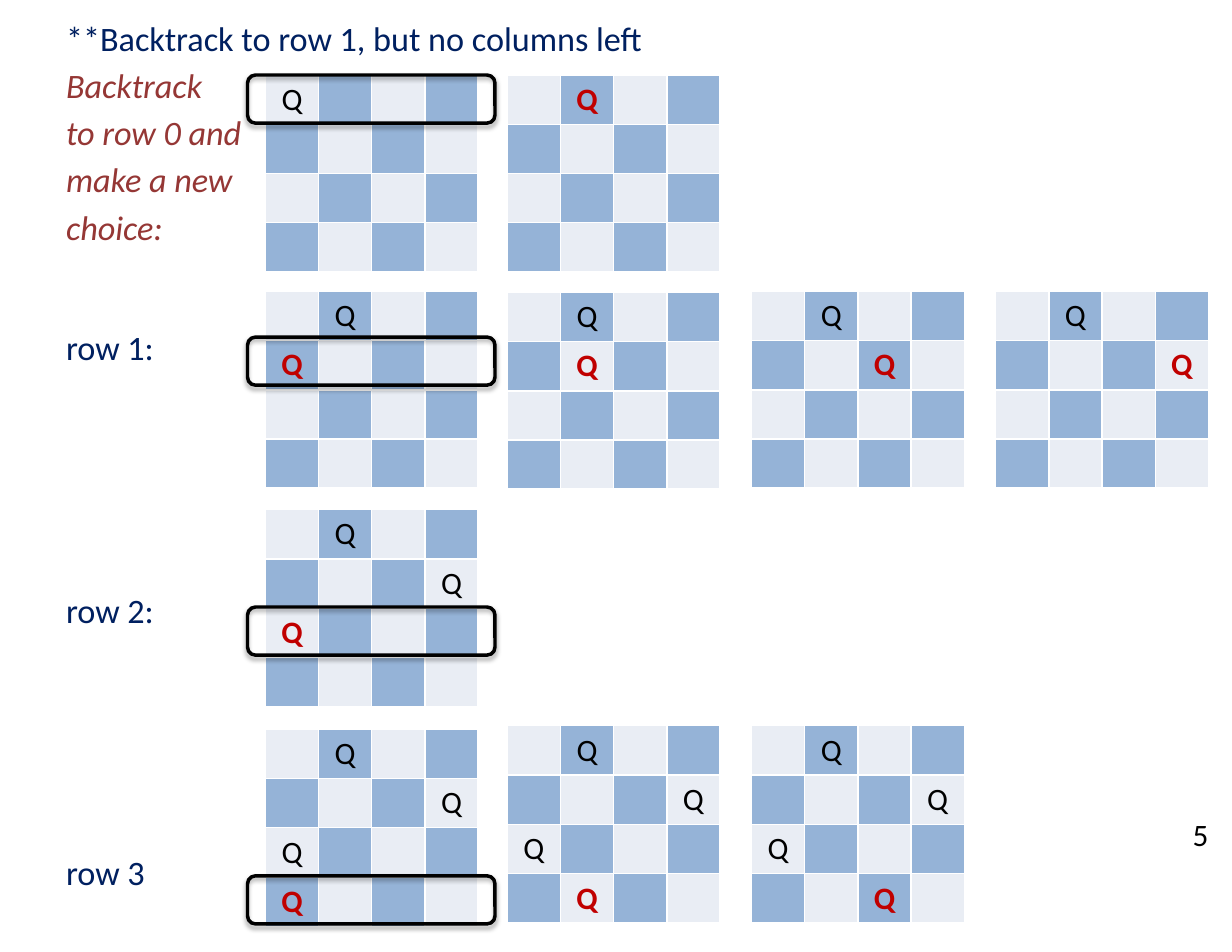
from dataclasses import dataclass

from lxml.etree import SubElement
from pptx import Presentation
from pptx.dml.color import RGBColor as Rgb
from pptx.enum.shapes import MSO_SHAPE as Shape
from pptx.enum.text import MSO_AUTO_SIZE as Fit, PP_ALIGN as Align
from pptx.oxml import parse_xml
from pptx.oxml.ns import nsdecls, qn
from pptx.util import Inches, Pt


@dataclass(frozen=True)
class Theme:
    face: str = "Calibri"
    navy: str = "002060"
    rust: str = "953735"
    black: str = "000000"
    red: str = "C00000"
    pale: str = "E9EDF4"
    blue: str = "95B3D7"
    white: str = "FFFFFF"
    body: float = 22
    queen: float = 20
    ring: float = 2.25


@dataclass(frozen=True)
class Line:
    text: str
    gap: float = 4
    note: bool = False


@dataclass(frozen=True)
class Board:
    """Queens holds one column number per filled row; the last one is on trial."""
    left: float
    top: float
    queens: tuple[int, ...]
    trial: bool = True


THEME = Theme()
SIDE = 4
WIDE, HIGH = 1.9, 1.75

LINES = [
    Line("**Backtrack to row 1, but no columns left", 0),
    Line("Backtrack", note=True),
    Line("to row 0 and", note=True),
    Line("make a new", note=True),
    Line("choice:", note=True),
    Line("row 1:", 51),
    Line("row 2:", 142.5),
    Line("row 3", 142.5),
]

A, B, C, D = 2.37, 4.53, 6.71, 8.89
BOARDS = [
    Board(A, 0.67, (0,), trial=False),
    Board(B, 0.67, (1,)),
    Board(A, 2.6, (1, 0)),
    Board(B, 2.61, (1, 1)),
    Board(C, 2.6, (1, 2)),
    Board(D, 2.6, (1, 3)),
    Board(A, 4.55, (1, 3, 0)),
    Board(A, 6.51, (1, 3, 0, 0)),
    Board(B, 6.48, (1, 3, 0, 1)),
    Board(C, 6.48, (1, 3, 0, 2)),
]
RINGS = [0.67, 3.01, 5.42, 7.82]


def style(run, size: float, color: str, **more) -> None:
    for name, value in {"name": THEME.face, "size": Pt(size), **more}.items():
        setattr(run.font, name, value)
    run.font.color.rgb = Rgb.from_string(color)


def place(shape, left: float, top: float, wide: float, high: float) -> None:
    box = {"left": left, "top": top, "width": wide, "height": high}
    for name, value in box.items():
        setattr(shape, name, Inches(value))


def write_body(body) -> None:
    place(body, 0.49, 0.1, 10.11, 6.96)
    frame = body.text_frame
    frame.auto_size = Fit.NONE
    for i, line in enumerate(LINES):
        para = frame.add_paragraph() if i else frame.paragraphs[0]
        para.space_before = Pt(line.gap)
        props = para._p.get_or_add_pPr()
        for name in ("marL", "indent"):
            props.set(name, "0")
        SubElement(props, qn("a:buNone"))
        run = para.add_run()
        run.text = line.text
        style(run, THEME.body, THEME.rust if line.note else THEME.navy,
              italic=line.note)


def edge(cell) -> None:
    """Give all four sides of a cell a thin white border."""
    for i, side in enumerate("LRTB"):
        cell._tc.get_or_add_tcPr().insert(i, parse_xml(
            f'<a:ln{side} {nsdecls("a")} w="{Pt(1)}"><a:solidFill>'
            f'<a:srgbClr val="{THEME.white}"/></a:solidFill></a:ln{side}>'))


def draw_board(slide, board: Board) -> None:
    table = slide.shapes.add_table(
        SIDE, SIDE, Inches(board.left), Inches(board.top),
        Inches(WIDE), Inches(HIGH)).table
    table.first_row = table.horz_banding = False
    for row in range(SIDE):
        for col in range(SIDE):
            cell = table.cell(row, col)
            cell.fill.solid()
            shade = THEME.blue if (row + col) % 2 else THEME.pale
            cell.fill.fore_color.rgb = Rgb.from_string(shade)
            edge(cell)
    last = len(board.queens) - 1
    for row, col in enumerate(board.queens):
        para = table.cell(row, col).text_frame.paragraphs[0]
        para.alignment = Align.CENTER
        run = para.add_run()
        run.text = "Q"
        hot = board.trial and row == last
        style(run, THEME.queen, THEME.red if hot else THEME.black, bold=hot)


def draw_ring(slide, top: float) -> None:
    """Outline the row being searched, with a soft shadow below."""
    ring = slide.shapes.add_shape(
        Shape.ROUNDED_RECTANGLE, Inches(2.21), Inches(top),
        Inches(2.21), Inches(0.43))
    ring.fill.background()
    ring.line.color.rgb = Rgb.from_string(THEME.black)
    ring.line.width = Pt(THEME.ring)
    ring.shadow.inherit = False
    ring._element.spPr.find(qn("a:effectLst")).append(parse_xml(
        f'<a:outerShdw {nsdecls("a")} blurRad="{Pt(3.1)}" dist="{Pt(1.8)}" '
        f'dir="5400000" rotWithShape="0"><a:srgbClr val="{THEME.black}">'
        '<a:alpha val="35000"/></a:srgbClr></a:outerShdw>'))


def write_page(slide) -> None:
    box = slide.shapes.add_textbox(
        Inches(10.55), Inches(7.23), Inches(0.34), Inches(0.44))
    box.text_frame.word_wrap = False
    run = box.text_frame.paragraphs[0].add_run()
    run.text = "5"
    style(run, THEME.queen, THEME.black)


def main() -> None:
    deck = Presentation()
    deck.slide_width, deck.slide_height = Inches(11), Inches(8.5)
    slide = deck.slides.add_slide(deck.slide_layouts[1])
    title = slide.shapes.title._element
    title.getparent().remove(title)
    write_body(slide.placeholders[1])
    for board in BOARDS:
        draw_board(slide, board)
    write_page(slide)
    for top in RINGS:
        draw_ring(slide, top)
    deck.save("out.pptx")


if __name__ == "__main__":
    main()
